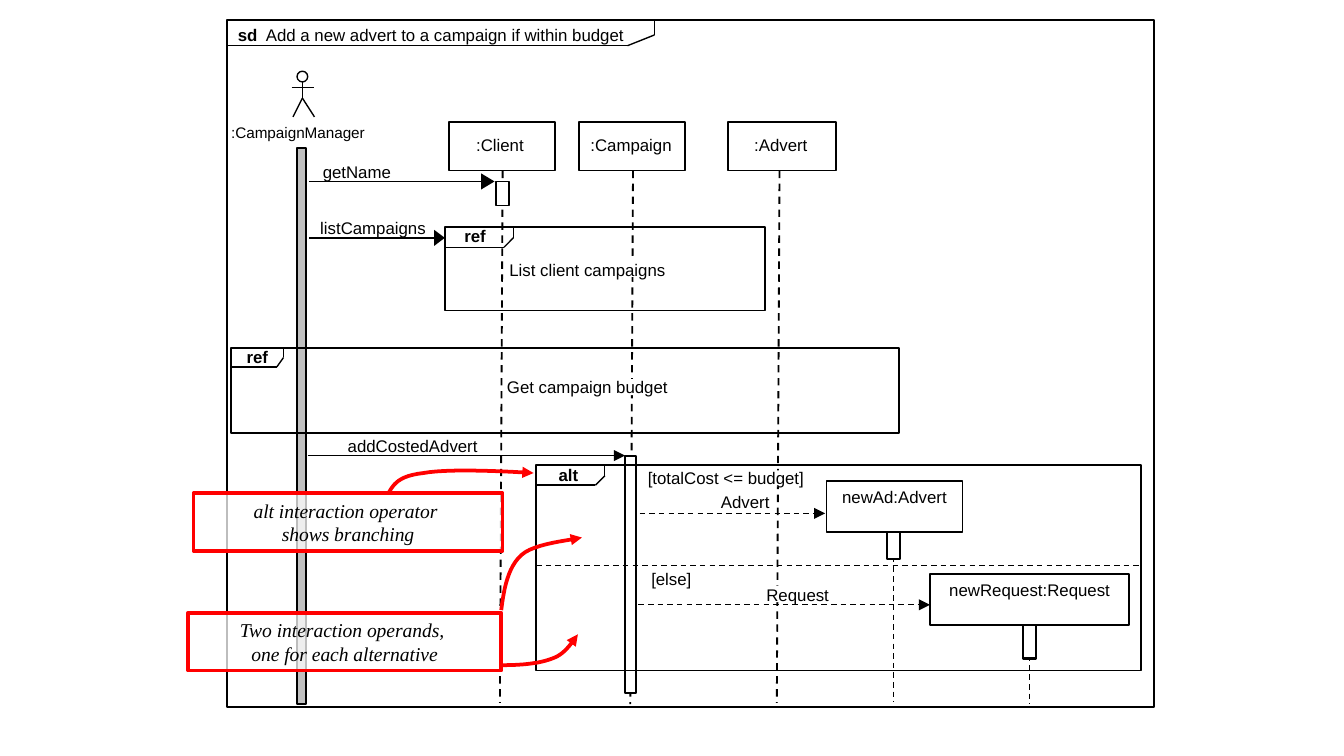
import dataclasses

import pptx
import pptx.dml.color
import pptx.enum.dml
import pptx.enum.shapes
import pptx.enum.text
import pptx.oxml.ns
import pptx.util
from lxml import etree

Inches = pptx.util.Inches
qn = pptx.oxml.ns.qn
SHAPES = pptx.enum.shapes.MSO_SHAPE
ALIGN = pptx.enum.text.PP_ALIGN


@dataclasses.dataclass(frozen=True)
class Theme:
    ink: str = "000000"
    paper: str = "FFFFFF"
    bar: str = "C0C0C0"
    accent: str = "FF0000"
    font: str = "Arial"
    note_font: str = "Times New Roman"
    label_size: float = 9
    actor_size: float = 8.2
    note_size: float = 10.5
    thin: float = 0.75
    medium: float = 1
    heavy: float = 1.13
    note_line: float = 2


THEME = Theme()


def rgb(color):
    return pptx.dml.color.RGBColor.from_string(color)


def style_line(sp, color, width, dash=False, arrow=False):
    sp.line.color.rgb = rgb(color)
    sp.line.width = pptx.util.Pt(width)
    if dash:
        sp.line.dash_style = pptx.enum.dml.MSO_LINE.DASH
    if arrow:
        ln = sp._element.spPr.find(qn("a:ln"))
        etree.SubElement(ln, qn("a:tailEnd"), type="triangle")


def style_fill(sp, color, alpha=None):
    if color is None:
        sp.fill.background()
        return
    sp.fill.solid()
    sp.fill.fore_color.rgb = rgb(color)
    if alpha:
        clr = sp._element.spPr.find(qn("a:solidFill")).find(qn("a:srgbClr"))
        etree.SubElement(clr, qn("a:alpha"), val=str(alpha * 1000))


def write_text(sp, text, *, lead="", size=THEME.label_size, font=THEME.font,
               bold=False, italic=False, align=ALIGN.CENTER, pad=(0, 0), wrap=True):
    tf = sp.text_frame
    tf.word_wrap = wrap
    if not wrap:
        tf.auto_size = pptx.enum.text.MSO_AUTO_SIZE.SHAPE_TO_FIT_TEXT
    tf.vertical_anchor = pptx.enum.text.MSO_ANCHOR.TOP
    tf.margin_left = tf.margin_right = Inches(pad[0])
    tf.margin_top = tf.margin_bottom = Inches(pad[1])
    for i, row in enumerate(text.split("\n")):
        p = tf.paragraphs[0] if i == 0 else tf.add_paragraph()
        p.alignment = align
        runs = [(lead, True)] if lead and i == 0 else []
        for part, is_bold in runs + [(row, bold)]:
            r = p.add_run()
            r.text = part
            r.font.name = font
            r.font.size = pptx.util.Pt(size)
            r.font.bold = is_bold
            r.font.italic = italic
            r.font.color.rgb = rgb(THEME.ink)


def add_box(s, at, fill=None, line=THEME.ink, width=THEME.medium,
            kind=SHAPES.RECTANGLE, alpha=None):
    sp = s.shapes.add_shape(kind, *map(Inches, at))
    sp.shadow.inherit = False
    style_fill(sp, fill, alpha)
    if line:
        style_line(sp, line, width)
    else:
        sp.line.fill.background()
    return sp


def add_label(s, text, at, **fmt):
    fmt = {"wrap": False, **fmt}
    sp = s.shapes.add_textbox(*map(Inches, at))
    write_text(sp, text, **fmt)


def add_line(s, x1, y1, x2, y2, width=THEME.thin, **style):
    sp = s.shapes.add_connector(pptx.enum.shapes.MSO_CONNECTOR.STRAIGHT,
                                *map(Inches, (x1, y1, x2, y2)))
    style_line(sp, THEME.ink, width, **style)
    etree.SubElement(sp._element.spPr, qn("a:effectLst"))


def add_outline(s, points, close):
    pts = [(Inches(x), Inches(y)) for x, y in points]
    fb = s.shapes.build_freeform(*pts[0])
    fb.add_line_segments(pts[1:], close=close)
    sp = fb.convert_to_shape()
    sp.shadow.inherit = False
    return sp


def add_solid_head(s, x, y, length):
    """Filled arrowhead whose tip is at x, y."""
    sp = add_outline(s, [(x - length, y + 0.06), (x, y), (x - length, y - 0.06)], True)
    style_fill(sp, THEME.ink)
    sp.line.fill.background()


def add_curve(s, start, *segments, steps=12):
    """Red curved arrow through cubic Bezier segments."""
    points = [start]
    for b, c, d in segments:
        a = points[-1]
        for k in range(1, steps + 1):
            t = k / steps
            weights = ((1 - t) ** 3, 3 * t * (1 - t) ** 2, 3 * t * t * (1 - t), t ** 3)
            points.append(tuple(sum(w * q[i] for w, q in zip(weights, (a, b, c, d)))
                                for i in (0, 1)))
    sp = add_outline(s, points, False)
    style_fill(sp, None)
    style_line(sp, THEME.accent, THEME.note_line, arrow=True)


def add_frame(s, at, tab, cut, label_at, text, **fmt):
    """Fragment frame with a cut-corner tab in its top left."""
    x, y = at[:2]
    right, bottom = x + tab[0], y + tab[1]
    add_box(s, at)
    add_line(s, x, bottom, right - cut[0], bottom)
    add_line(s, right, y, right, bottom - cut[1])
    add_line(s, right, bottom - cut[1], right - cut[0], bottom)
    add_label(s, text, label_at, pad=(0.07, 0.04), **fmt)


def add_actor(s):
    add_box(s, (2.21, 0.53, 0.08, 0.08), THEME.paper, width=THEME.thin, kind=SHAPES.OVAL)
    for limb in ((2.25, 0.61, 2.25, 0.73), (2.25, 0.73, 2.18, 0.87),
                 (2.25, 0.73, 2.34, 0.87), (2.17, 0.65, 2.34, 0.65)):
        add_line(s, *limb)
    add_label(s, ":CampaignManager", (1.72, 0.92, 1.08, 0.14),
              size=THEME.actor_size, align=ALIGN.LEFT, wrap=True)


def add_note(s, text, at):
    sp = add_box(s, at, THEME.paper, THEME.accent, THEME.note_line, alpha=74)
    write_text(sp, text, size=THEME.note_size, font=THEME.note_font,
               italic=True, pad=(0.07, 0.04))


def main():
    prs = pptx.Presentation()
    prs.slide_width = Inches(10)
    prs.slide_height = prs.slide_width * 9 // 16
    s = prs.slides.add_slide(prs.slide_layouts[6])

    # Lifelines, with white gaps behind labels that cross them
    for x, y in ((3.74, 5.23), (4.71, 5.24), (5.8, 5.23)):
        add_line(s, x, 1.27, x - 0.02, y, THEME.medium, dash=True)
    for x, y in ((4.6, 1.94), (4.6, 2.82), (5.7, 3.5), (5.7, 4.36)):
        add_box(s, (x, y, 0.21, 0.12), THEME.paper, line=None)
    for x, top, bottom in ((6.65, 4, 5.22), (7.66, 4.66, 5.24)):
        add_line(s, x, top, x, bottom, dash=True)

    # Participants
    add_actor(s)
    for text, x, w, text_x, text_w in ((":Client", 3.34, 0.79, 3.54, 0.36),
                                       (":Campaign", 4.31, 0.79, 4.39, 0.61),
                                       (":Advert", 5.42, 0.8, 5.61, 0.4)):
        add_box(s, (x, 0.91, w, 0.36), THEME.paper)
        add_label(s, text, (text_x, 1, text_w, 0.15))
    for text, at in (("newAd:Advert", (6.15, 3.58, 1.01, 0.38)),
                     ("newRequest:Request", (6.92, 4.27, 1.48, 0.38))):
        write_text(add_box(s, at, width=THEME.thin), text, pad=(0.07, 0.04))

    # Activation bars
    add_box(s, (2.21, 1.1, 0.07, 4.14), THEME.bar)
    add_box(s, (3.69, 1.35, 0.1, 0.18), THEME.paper)
    for at in ((4.65, 3.39, 0.08, 1.77), (6.6, 3.96, 0.1, 0.2), (7.61, 4.65, 0.1, 0.25)):
        add_box(s, at, THEME.paper, width=THEME.heavy)

    # Frames
    add_frame(s, (1.69, 0.15, 6.9, 5.11), (3.18, 0.19), (0.2, 0.08),
              (1.68, 0.14, 3.05, 0.23),
              " Add a new advert to a campaign if within budget", lead="sd ")
    add_frame(s, (3.31, 1.69, 2.38, 0.62), (0.51, 0.15), (0.07, 0.07),
              (3.38, 1.64, 0.31, 0.23), "ref", bold=True)
    add_frame(s, (1.72, 2.59, 4.97, 0.63), (0.39, 0.14), (0.05, 0.07),
              (1.76, 2.54, 0.31, 0.23), "ref", bold=True)
    add_frame(s, (3.99, 3.46, 4.5, 1.53), (0.51, 0.15), (0.07, 0.07),
              (4.08, 3.42, 0.3, 0.23), "alt", bold=True)
    add_line(s, 3.99, 4.21, 8.48, 4.21, dash=True)
    for text, x, y, w in (("List client campaigns", 3.71, 1.89, 1.32),
                          ("Get campaign budget", 3.69, 2.76, 1.36),
                          ("[totalCost <= budget]", 4.74, 3.44, 1.32),
                          ("[else]", 4.77, 4.19, 0.45)):
        add_label(s, text, (x, y, w, 0.23), pad=(0.07, 0.04))

    # Messages
    for y, tip, length in ((1.35, 3.68, 0.1), (1.77, 3.31, 0.08)):
        add_line(s, 2.3, y, tip - 0.07, y, THEME.medium)
        add_solid_head(s, tip, y, length)
    for x1, x2, y, dash in ((2.29, 4.65, 3.39, False), (4.76, 6.14, 3.82, True),
                            (4.75, 6.92, 4.5, True)):
        add_line(s, x1, y, x2, y, dash=dash, arrow=True)
    for text, x, y, w in (("getName", 2.4, 1.2, 0.51), ("listCampaigns", 2.38, 1.62, 0.79),
                          ("addCostedAdvert", 2.58, 3.24, 0.98),
                          ("Advert", 5.36, 3.66, 0.37), ("Request", 5.7, 4.35, 0.47)):
        add_label(s, text, (x, y, w, 0.15))

    # Notes and their pointers
    add_note(s, "alt interaction operator \nshows branching", (1.44, 3.67, 2.3, 0.43))
    add_note(s, "Two interaction operands, \none for each alternative", (1.4, 4.56, 2.33, 0.43))
    add_curve(s, (2.89, 3.67), ((2.93, 3.6), (2.97, 3.54), (3.15, 3.52)),
              ((3.32, 3.49), (3.65, 3.5), (3.97, 3.52)))
    add_curve(s, (3.73, 4.54), ((3.75, 4.38), (3.78, 4.22), (3.88, 4.13)),
              ((3.98, 4.04), (4.26, 4.02), (4.33, 4)))
    add_curve(s, (3.73, 4.95), ((3.87, 4.95), (4.01, 4.94), (4.11, 4.9)),
              ((4.2, 4.87), (4.25, 4.79), (4.3, 4.72)))

    prs.save("out.pptx")


if __name__ == "__main__":
    main()
